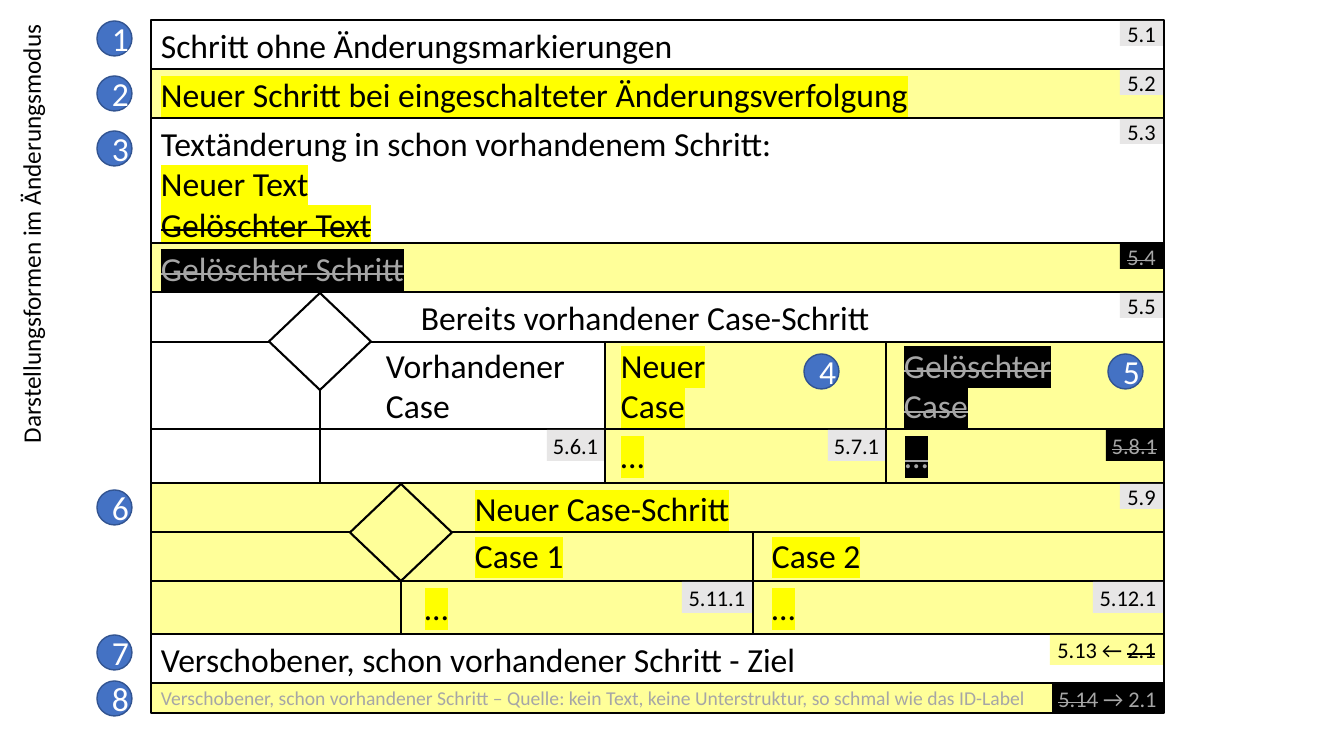
from collections import namedtuple

from lxml.etree import SubElement
from pptx import Presentation
from pptx.dml.color import RGBColor
from pptx.enum.shapes import MSO_CONNECTOR, MSO_SHAPE
from pptx.enum.text import MSO_ANCHOR, MSO_AUTO_SIZE, PP_ALIGN
from pptx.oxml.ns import qn
from pptx.util import Emu, Pt

EMU_PER_PIXEL = 914400 / 100.8
BLACK, WHITE, GREY, YELLOW, PALE, SILVER = (
    "000000", "FFFFFF", "A6A6A6", "FFFF00", "FFFF99", "E7E6E6")

Box = namedtuple("Box", "left top width height")
Mark = namedtuple("Mark", "color highlight struck")
Case = namedtuple("Case", "left right fill mark text text_at dots_at label label_width")

PLAIN = Mark(BLACK, None, False)
NEW = Mark(BLACK, YELLOW, False)
NEW_STRUCK = Mark(BLACK, YELLOW, True)
DELETED = Mark(GREY, BLACK, True)
STRUCK = Mark(BLACK, None, True)


def px(*lengths):
    """Turn pixels into EMU."""
    return [Emu(round(length * EMU_PER_PIXEL)) for length in lengths]


def rgb(value):
    """Turn a hex string into a colour."""
    return RGBColor.from_string(value)


def write(frame, lines, size, align=PP_ALIGN.LEFT):
    """Fill a text frame; each line is a list of (text, mark) spans."""
    for index, spans in enumerate(lines):
        para = frame.add_paragraph() if index else frame.paragraphs[0]
        para.alignment = align
        para.font.size = Pt(size)
        para.font.name = "Calibri"
        para.font.color.rgb = rgb(spans[0][1].color)
        for text, mark in spans:
            span = para.add_run()
            span.text = text
            props = span._r.get_or_add_rPr()
            if mark.struck:
                props.set("strike", "sngStrike")
            if mark.highlight:
                highlight = SubElement(props, qn("a:highlight"))
                SubElement(highlight, qn("a:srgbClr")).set("val", mark.highlight)


def add_text(page, left, top, width, lines, size=24):
    """Add a text box whose height follows its lines."""
    height = 10 + round(len(lines) * size * 1.69)
    frame = page.shapes.add_textbox(*px(left, top, width, height)).text_frame
    frame.word_wrap = True
    frame.auto_size = MSO_AUTO_SIZE.SHAPE_TO_FIT_TEXT
    write(frame, lines, size)


def add_shape(page, kind, box, fill, line=None, weight=1.5):
    """Add a flat preset shape with an optional outline."""
    shape = page.shapes.add_shape(kind, *px(*box))
    shape.shadow.inherit = False
    shape.fill.solid()
    shape.fill.fore_color.rgb = rgb(fill)
    if line:
        shape.line.color.rgb = rgb(line)
        shape.line.width = Pt(weight)
    else:
        shape.line.fill.background()
    return shape


def add_line(page, *ends):
    """Add a black rule from x1, y1 to x2, y2."""
    rule = page.shapes.add_connector(MSO_CONNECTOR.STRAIGHT, *px(*ends))
    rule.line.color.rgb = rgb(BLACK)
    rule.line.width = Pt(1.5)
    SubElement(rule._element.spPr, qn("a:effectLst"))


def add_label(page, right, top, spans, width=43, height=25, fill=SILVER):
    """Add an ID label that ends at the given right edge."""
    box = Box(right - width, top, width, height)
    frame = add_shape(page, MSO_SHAPE.RECTANGLE, box, fill).text_frame
    frame.word_wrap = True
    frame.vertical_anchor = MSO_ANCHOR.MIDDLE
    frame.margin_left, frame.margin_right = px(4, 4)
    write(frame, [spans], 16, PP_ALIGN.CENTER)


def label_style(mark):
    """Give the text mark and fill of a label for a step with this mark."""
    if mark is DELETED:
        return Mark(GREY, None, True), BLACK
    return PLAIN, SILVER


def add_step(page, box, fill, lines, label=None):
    """Draw a simple step: a bordered row, its text and its ID label."""
    add_shape(page, MSO_SHAPE.RECTANGLE, box, fill, BLACK)
    add_text(page, box.left, box.top, 778, lines)
    if label:
        mark, label_fill = label_style(lines[0][0][1])
        add_label(page, box.left + box.width - 1, box.top + 1, [(label, mark)], fill=label_fill)


def add_case_step(page, box, fill, title, label, header, split, diamond_at, cases):
    """Draw a case step: a title band, a diamond and one column per case."""
    right, bottom = box.left + box.width, box.top + box.height
    head_y, split_y = box.top + header, box.top + split
    add_shape(page, MSO_SHAPE.RECTANGLE, box, fill, BLACK)
    for case in cases:
        if case.fill != fill:
            column = Box(case.left, head_y, case.right - case.left, bottom - head_y)
            add_shape(page, MSO_SHAPE.RECTANGLE, column, case.fill)
    add_shape(page, MSO_SHAPE.RECTANGLE, box, fill, BLACK).fill.background()
    text, mark, title_at = title
    add_text(page, title_at, box.top, 565, [[(text, mark)]])
    add_label(page, right - 1, box.top + 1, [(label, PLAIN)])

    diamond = Box(diamond_at, box.top + 1, 102, 97)
    add_shape(page, MSO_SHAPE.FLOWCHART_DECISION, diamond, fill, BLACK)
    stem = diamond.left + diamond.width // 2
    add_line(page, stem, diamond.top + diamond.height, stem, bottom)
    add_line(page, box.left, head_y, diamond.left, head_y)
    add_line(page, diamond.left + diamond.width, head_y, right, head_y)
    add_line(page, box.left, split_y, right, split_y)
    for case in cases[1:]:
        add_line(page, case.left, head_y, case.left, bottom)

    for case in cases:
        add_text(page, case.text_at, head_y - 2, 206,
                 [[(word, case.mark)] for word in case.text])
        if case.dots_at:
            add_text(page, case.dots_at, split_y + 1, 206, [[("…", case.mark)]])
        mark, label_fill = label_style(case.mark)
        add_label(page, case.right - 1, split_y + 1, [(case.label, mark)],
                  case.label_width, 31, label_fill)


def add_moved_steps(page, target, source):
    """Draw the target and the source row of a moved step."""
    right = target.left + target.width - 1
    add_step(page, target, WHITE, [[("Verschobener, schon vorhandener Schritt - Ziel", PLAIN)]])
    add_label(page, right, target.top + 1, [("5.13 ← ", PLAIN), ("2.1", STRUCK)], 113, 30, PALE)
    faded = Mark(GREY, None, False)
    add_shape(page, MSO_SHAPE.RECTANGLE, source, PALE, BLACK)
    add_label(page, right, source.top + 1,
              [("5.14", Mark(GREY, None, True)), (" → 2.1", faded)], 111, 29, BLACK)
    add_text(page, source.left, source.top - 2, 897, [[(
        "Verschobener, schon vorhandener Schritt – Quelle: kein Text, "
        "keine Unterstruktur, so schmal wie das ID-Label", faded)]], 14)


def add_badges(page, places):
    """Number the given places with blue circles."""
    for number, (left, top) in enumerate(places, 1):
        badge = add_shape(page, MSO_SHAPE.OVAL, Box(left, top, 35, 35), "4472C4", "325491", 1)
        badge.text_frame.word_wrap = True
        badge.text_frame.vertical_anchor = MSO_ANCHOR.MIDDLE
        write(badge.text_frame, [[(str(number), Mark(WHITE, None, False))]], 24, PP_ALIGN.CENTER)


def set_title(page, box, text):
    """Turn the title upright along the left edge."""
    title = page.shapes.title
    title.left, title.top, title.width, title.height = px(*box)
    title.rotation = 270
    title.text_frame.word_wrap = True
    title.text_frame.auto_size = MSO_AUTO_SIZE.NONE
    title.text_frame.vertical_anchor = MSO_ANCHOR.TOP
    write(title.text_frame, [[(text, PLAIN)]], 18)


deck = Presentation()
deck.slide_width, deck.slide_height = px(1344, 756)
page = deck.slides.add_slide(deck.slide_layouts[5])
set_title(page, Box(-249, 154, 559, 40), "Darstellungsformen im Änderungsmodus")

LEFT, WIDTH = 151, 1013
RIGHT = LEFT + WIDTH
add_step(page, Box(LEFT, 20, WIDTH, 49), WHITE,
         [[("Schritt ohne Änderungsmarkierungen", PLAIN)]], "5.1")
add_step(page, Box(LEFT, 69, WIDTH, 49), PALE,
         [[("Neuer Schritt bei eingeschalteter Änderungsverfolgung", NEW)]], "5.2")
add_step(page, Box(LEFT, 118, WIDTH, 125), WHITE,
         [[("Textänderung in schon vorhandenem Schritt:", PLAIN)],
          [("Neuer Text", NEW)], [("Gelöschter Text", NEW_STRUCK)]], "5.3")
add_step(page, Box(LEFT, 243, WIDTH, 49), PALE, [[("Gelöschter Schritt", DELETED)]], "5.4")
add_case_step(
    page, Box(LEFT, 292, WIDTH, 191), WHITE,
    ("Bereits vorhandener Case-Schritt", PLAIN, 411), "5.5", 50, 137, 269,
    [Case(320, 605, WHITE, PLAIN, ["Vorhandener", "Case"], 376, None, "5.6.1", 57),
     Case(605, 886, PALE, NEW, ["Neuer", "Case"], 611, 611, "5.7.1", 57),
     Case(886, RIGHT, PALE, DELETED, ["Gelöschter", "Case"], 894, 895, "5.8.1", 57)])
add_case_step(
    page, Box(LEFT, 483, WIDTH, 151), PALE,
    ("Neuer Case-Schritt", NEW, 465), "5.9", 49, 98, 350,
    [Case(401, 753, PALE, NEW, ["Case 1"], 465, 415, "5.11.1", 70),
     Case(753, RIGHT, PALE, NEW, ["Case 2"], 762, 762, "5.12.1", 70)])
add_moved_steps(page, Box(LEFT, 634, WIDTH, 49), Box(LEFT, 683, WIDTH, 30))
add_badges(page, [(97, 21), (97, 76), (97, 131), (804, 354), (1108, 354),
                  (97, 490), (97, 635), (97, 681)])
deck.save("out.pptx")
